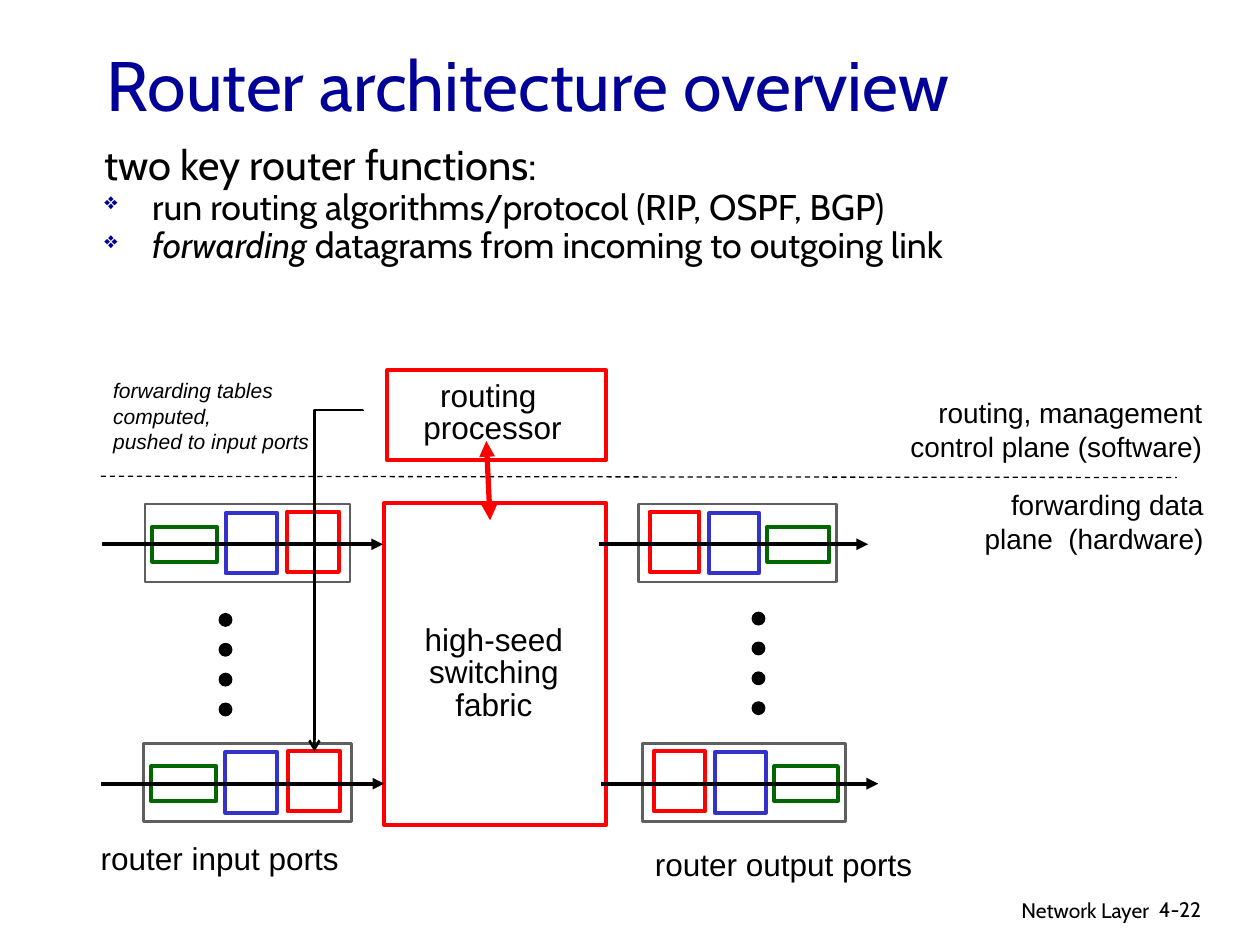
from lxml import etree
from pptx import Presentation
from pptx.dml.color import RGBColor
from pptx.enum.dml import MSO_LINE
from pptx.enum.shapes import MSO_CONNECTOR, MSO_SHAPE
from pptx.enum.text import MSO_ANCHOR, PP_ALIGN
from pptx.oxml.ns import qn
from pptx.util import Inches, Pt

RECTANGLE, OVAL = MSO_SHAPE.RECTANGLE, MSO_SHAPE.OVAL
STRAIGHT, ELBOW = MSO_CONNECTOR.STRAIGHT, MSO_CONNECTOR.ELBOW
DASH = MSO_LINE.DASH
LEFT, CENTER, RIGHT = PP_ALIGN.LEFT, PP_ALIGN.CENTER, PP_ALIGN.RIGHT
TOP, MIDDLE = MSO_ANCHOR.TOP, MSO_ANCHOR.MIDDLE

BLACK, WHITE, RED = "000000", "FFFFFF", "FF0000"
NAVY, BLUE, GREEN, GRAY = "000099", "3333CC", "006600", "5F5F5F"

PORT_WIDTH = 1.63
# Stages of an input port: offset from its left and top, width, height, colour
PORT_STAGES = [
    (0.06, 0.18, 0.51, 0.28, GREEN),
    (0.64, 0.07, 0.41, 0.48, BLUE),
    (1.13, 0.06, 0.41, 0.48, RED),
]
# Left, top, width, whether it is an output port, arrow start and end
PORTS = [
    (1.15, 4.0, 1.63, False, 0.81, 3.04),
    (1.14, 5.9, 1.65, False, 0.8, 3.05),
    (5.07, 4.0, 1.57, True, 4.75, 6.89),
    (5.1, 5.9, 1.61, True, 4.77, 6.97),
]


def color(hex_string):
    return RGBColor.from_string(hex_string)


def add_run(paragraph, text, size, font="Arial", text_color=BLACK, italic=False):
    run = paragraph.add_run()
    run.text = text
    run.font.size = Pt(size)
    run.font.name = font
    run.font.italic = italic
    run.font.color.rgb = color(text_color)


def add_text_frame(slide, left, top, width, height, wrap=True, anchor=TOP):
    box = slide.shapes.add_textbox(Inches(left), Inches(top), Inches(width), Inches(height))
    frame = box.text_frame
    frame.word_wrap = wrap
    frame.vertical_anchor = anchor
    return frame


def add_label(slide, position, lines, size, font="Arial", text_color=BLACK,
              align=LEFT, spacing=None, italic=False, wrap=False, anchor=TOP):
    frame = add_text_frame(slide, *position, wrap=wrap, anchor=anchor)
    for index, line in enumerate(lines):
        paragraph = frame.add_paragraph() if index else frame.paragraphs[0]
        paragraph.alignment = align
        paragraph.line_spacing = spacing
        add_run(paragraph, line, size, font, text_color, italic)


def add_bullet(paragraph):
    properties = paragraph._p.get_or_add_pPr()
    properties.set("marL", str(Inches(0.38)))
    properties.set("indent", str(-Inches(0.38)))
    bullet_color = etree.SubElement(properties, qn("a:buClr"))
    etree.SubElement(bullet_color, qn("a:srgbClr"), val=NAVY)
    etree.SubElement(properties, qn("a:buSzPct"), val="65000")
    etree.SubElement(properties, qn("a:buChar"), char="❖")


def add_functions(slide):
    frame = add_text_frame(slide, 0.73, 1.18, 8.89, 1)
    heading = frame.paragraphs[0]
    heading.line_spacing = 0.65
    add_run(heading, "two key router functions:", 23.8, "Cabin")
    items = [
        [("run routing algorithms/protocol (RIP, OSPF, BGP)", False)],
        [("forwarding ", True), ("datagrams from incoming to outgoing link", False)],
    ]
    for item in items:
        paragraph = frame.add_paragraph()
        add_bullet(paragraph)
        paragraph.line_spacing = 0.65
        paragraph.space_before = Pt(6)
        for text, italic in item:
            add_run(paragraph, text, 20.4, "Cabin", italic=italic)


def add_block(slide, kind, left, top, width, height, line_color, line_width, fill=WHITE):
    shape = slide.shapes.add_shape(
        kind, Inches(left), Inches(top), Inches(width), Inches(height))
    shape.shadow.inherit = False
    shape.fill.solid()
    shape.fill.fore_color.rgb = color(fill)
    shape.line.color.rgb = color(line_color)
    shape.line.width = Pt(line_width)


def add_line(slide, start, end, line_width, line_color=BLACK, head=None, tail=None,
             dash=None, kind=STRAIGHT):
    points = [Inches(value) for value in (*start, *end)]
    connector = slide.shapes.add_connector(kind, *points)
    connector.line.color.rgb = color(line_color)
    connector.line.width = Pt(line_width)
    if dash is not None:
        connector.line.dash_style = dash
    line = connector.line._get_or_add_ln()
    for tag, arrow in (("a:headEnd", head), ("a:tailEnd", tail)):
        if arrow:
            etree.SubElement(line, qn(tag), type=arrow)
    etree.SubElement(connector._element.spPr, qn("a:effectLst"))
    return connector


def add_table_push_arrow(slide):
    """Elbow from the forwarding-table note down to the lower input port."""
    connector = add_line(slide, (1.33, 4.42), (4.04, 4.8), 1.5, tail="arrow", kind=ELBOW)
    properties = connector._element.spPr
    properties.find(qn("a:xfrm")).set("rot", "5400000")
    adjustments = properties.find(qn("a:prstGeom")).find(qn("a:avLst"))
    etree.SubElement(adjustments, qn("a:gd"), name="adj1", fmla="val -100")


def add_port(slide, left, top, width, is_output, arrow_start, arrow_end):
    """Port with three stages, mirrored for an output port."""
    add_block(slide, RECTANGLE, left, top, width, 0.62, GRAY, 1.5)
    scale = width / PORT_WIDTH
    for offset, drop, stage_width, height, stage_color in PORT_STAGES:
        if is_output:
            offset = PORT_WIDTH - offset - stage_width
        add_block(slide, RECTANGLE, left + offset * scale, top + drop,
                  stage_width * scale, height, stage_color, 2.25)
    middle = top + 0.32
    add_line(slide, (arrow_start, middle), (arrow_end, middle), 2.25, tail="triangle")


def add_dots(slide, left, top):
    for index in range(4):
        add_block(slide, OVAL, left, top + index * 0.237, 0.1, 0.1, BLACK, 0.75, BLACK)


def main():
    presentation = Presentation()
    presentation.slide_width = Inches(10)
    presentation.slide_height = Inches(7.5)
    slide = presentation.slides.add_slide(presentation.slide_layouts[6])

    add_label(slide, (6.05, 7.07, 3.17, 0.31), ["Network Layer"], 12, "Cabin",
              align=RIGHT, wrap=True)
    add_label(slide, (9.1, 7.07, 0.74, 0.3), ["4-22"], 12, "Cabin", wrap=True)
    add_label(slide, (0.75, 0.33, 8.5, 0.67), ["Router architecture overview"], 40,
              "Cabin", NAVY, wrap=True, anchor=MIDDLE)
    add_functions(slide)

    add_block(slide, RECTANGLE, 3.05, 3.99, 1.76, 2.56, RED, 2.25)
    add_label(slide, (3.24, 4.92, 1.36, 0.87), ["high-seed ", "switching", "fabric"], 18,
              align=CENTER, spacing=0.85)
    add_block(slide, RECTANGLE, 3.07, 2.94, 1.74, 0.71, RED, 2.25)
    add_label(slide, (3.26, 2.98, 1.3, 0.61), ["routing ", "processor"], 18,
              align=CENTER, spacing=0.85)
    add_line(slide, (3.86, 3.5), (3.89, 4.13), 3, RED, head="triangle", tail="triangle")

    for port in PORTS:
        add_port(slide, *port)
    add_dots(slide, 1.74, 4.87)
    add_dots(slide, 5.97, 4.86)
    add_label(slide, (0.7, 6.61, 2.09, 0.4), ["router input ports"], 18)
    add_label(slide, (5.1, 6.66, 2.24, 0.4), ["router output ports"], 18)

    add_line(slide, (0.8, 3.78), (9.34, 3.79), 0.75, dash=DASH)
    add_label(slide, (7.53, 3.82, 2.12, 0.64), ["forwarding data plane  (hardware)"], 16,
              align=RIGHT, wrap=True)
    add_label(slide, (6.96, 3.09, 2.68, 0.64),
              ["routing, management", "control plane (software)"], 16,
              align=RIGHT, wrap=True)
    add_table_push_arrow(slide)
    add_label(slide, (0.8, 2.95, 2.29, 0.5),
              ["forwarding tables computed,", "pushed to input ports"], 12, italic=True)

    presentation.save("out.pptx")


if __name__ == "__main__":
    main()
